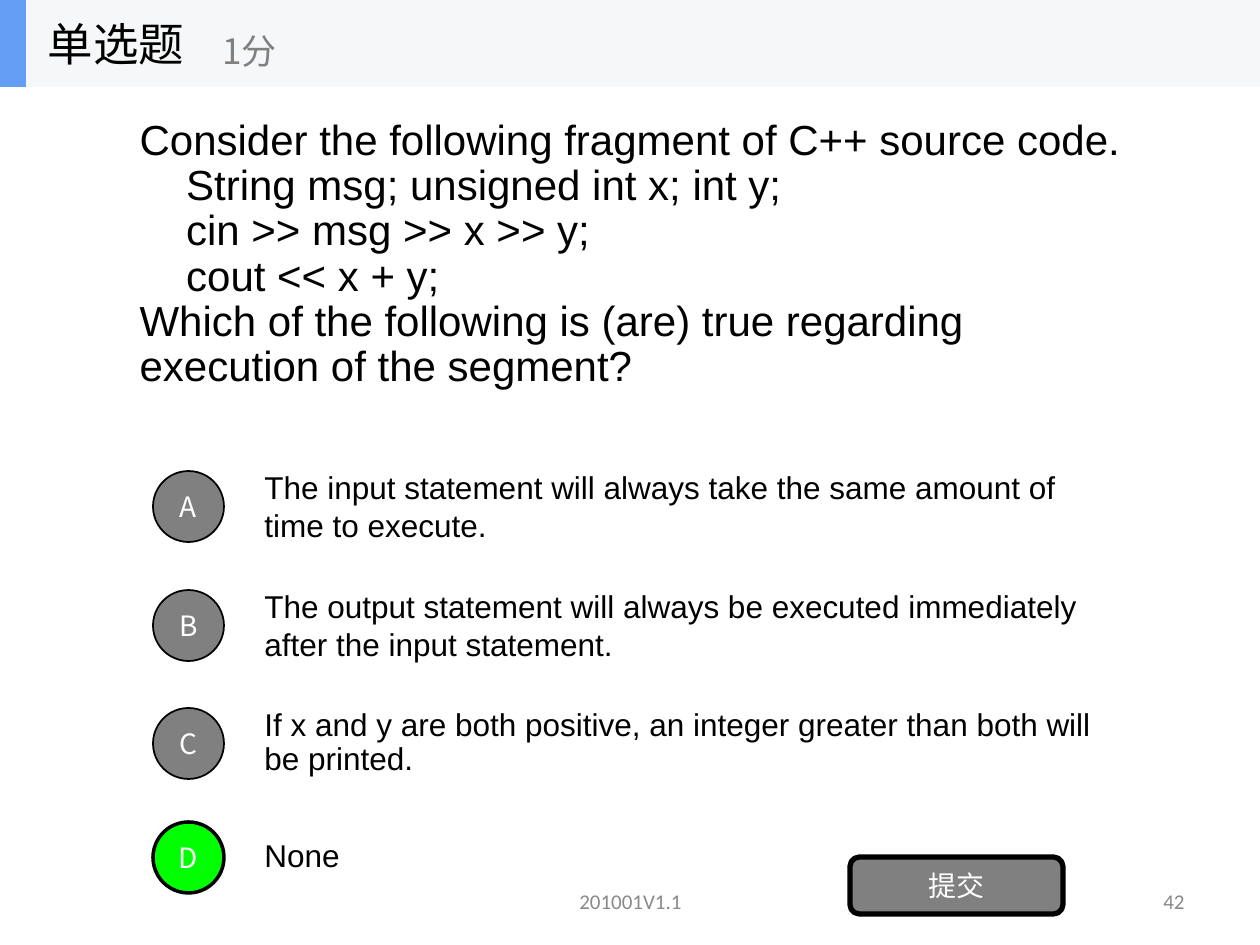
"""Build a single-choice quiz slide about C++ stream input."""
from dataclasses import dataclass

import lxml.etree
import pptx
import pptx.dml.color
import pptx.enum.shapes
import pptx.enum.text
import pptx.oxml.ns
import pptx.util

EMU_PER_PX = 914400 / 126
COLORS = {
    "black": "000000", "white": "FFFFFF", "gray": "808080", "footer": "898989",
    "green": "00FF00", "band": "F6F7F8", "accent": "639EF4",
}
LATIN, CJK, FOOTER_FONT = "Arial", "Noto Sans CJK SC", "Calibri"
ALIGN = pptx.enum.text.PP_ALIGN
SHAPE = pptx.enum.shapes.MSO_SHAPE
CIRCLE_SIZE, OPTION_HEIGHT = 71, 88


@dataclass(frozen=True)
class Area:
    left: int
    top: int
    width: int
    height: int

    def emu(self) -> list[int]:
        return [px(value) for value in (self.left, self.top, self.width, self.height)]


@dataclass(frozen=True)
class Option:
    letter: str
    text: str
    top: int
    spacing: float = 1.0
    fill: str = "gray"
    border: float = 1


QUESTION = [
    "Consider the following fragment of C++ source code.",
    "    String msg; unsigned int x; int y;",
    "    cin >> msg >> x >> y;",
    "    cout << x + y;",
    "Which of the following is (are) true regarding execution of the segment?",
]
OPTIONS = [
    Option("A", "The input statement will always take the same amount of time to execute.", 462),
    Option("B", "The output statement will always be executed immediately after the input statement.", 581),
    Option("C", "If x and y are both positive, an integer greater than both will be printed.", 699, 0.9),
    Option("D", "None", 813, 0.9, "green", 2),
]


def px(value: int) -> int:
    return round(value * EMU_PER_PX)


def rgb(name: str) -> pptx.dml.color.RGBColor:
    return pptx.dml.color.RGBColor.from_string(COLORS[name])


def write(box, lines: list[str], *, size: int, font: str = LATIN, color: str = "black",
          align=ALIGN.LEFT, spacing: float = 1.0, wrap: bool = True) -> None:
    frame = box.text_frame
    frame.word_wrap = wrap
    frame.auto_size = pptx.enum.text.MSO_AUTO_SIZE.NONE
    frame.vertical_anchor = pptx.enum.text.MSO_ANCHOR.MIDDLE
    for index, line in enumerate(lines):
        para = frame.add_paragraph() if index else frame.paragraphs[0]
        properties = para._p.get_or_add_pPr()
        properties.set("marL", "0")
        properties.set("indent", "0")
        lxml.etree.SubElement(properties, pptx.oxml.ns.qn("a:buNone"))
        para.alignment = align
        para.line_spacing = spacing
        para.space_before = pptx.util.Pt(0)
        span = para.add_run()
        span.text = line
        span.font.size = pptx.util.Pt(size)
        span.font.name = font
        span.font.color.rgb = rgb(color)
        east_asian = lxml.etree.SubElement(span.font._element, pptx.oxml.ns.qn("a:ea"))
        east_asian.set("typeface", font)


def place(box, area: Area) -> None:
    box.left, box.top, box.width, box.height = area.emu()


def add_text(page, area: Area, text: str, **style) -> None:
    write(page.shapes.add_textbox(*area.emu()), [text], **style)


def add_filled(page, kind, area: Area, fill: str, border: float = 0):
    shape = page.shapes.add_shape(kind, *area.emu())
    shape.shadow.inherit = False
    shape.fill.solid()
    shape.fill.fore_color.rgb = rgb(fill)
    if border:
        shape.line.color.rgb = rgb("black")
        shape.line.width = pptx.util.Pt(border)
    else:
        shape.line.fill.background()
    return shape


def add_button(page, kind, area: Area, label: str, fill: str, border: float) -> None:
    button = add_filled(page, kind, area, fill, border)
    write(button, [label], size=16, font=CJK, color="white", align=ALIGN.CENTER)


def add_option(page, option: Option) -> None:
    add_text(page, Area(252, option.top, 882, OPTION_HEIGHT), option.text,
             size=18, spacing=option.spacing)
    circle_top = option.top + (OPTION_HEIGHT - CIRCLE_SIZE + 1) // 2
    add_button(page, SHAPE.OVAL, Area(153, circle_top, CIRCLE_SIZE, CIRCLE_SIZE),
               option.letter, option.fill, option.border)


def add_header(page) -> None:
    add_filled(page, SHAPE.RECTANGLE, Area(0, 0, 1260, 87), "band")
    add_filled(page, SHAPE.RECTANGLE, Area(0, 0, 26, 87), "accent")
    title = page.shapes.title
    place(title, Area(35, 0, 262, 87))
    write(title, ["单选题"], size=26, font=CJK, wrap=False)
    title._element.getparent().append(title._element)
    add_text(page, Area(210, 15, 315, 71), "1分", size=20, font=CJK, color="gray", wrap=False)


def main() -> None:
    deck = pptx.Presentation()
    deck.slide_width, deck.slide_height = px(1260), px(945)
    page = deck.slides.add_slide(deck.slide_layouts[1])
    footer = {"size": 12, "font": FOOTER_FONT, "color": "footer"}
    add_text(page, Area(431, 876, 399, 50), "201001V1.1", align=ALIGN.CENTER, **footer)
    add_text(page, Area(903, 876, 294, 50), "42", align=ALIGN.RIGHT, **footer)
    question = page.placeholders[1]
    place(question, Area(127, 88, 1008, 334))
    write(question, QUESTION, size=24, spacing=0.9)
    for option in OPTIONS:
        add_option(page, option)
    add_button(page, SHAPE.ROUNDED_RECTANGLE, Area(850, 857, 213, 57), "提交", "gray", 3)
    add_header(page)
    deck.save("out.pptx")


if __name__ == "__main__":
    main()
